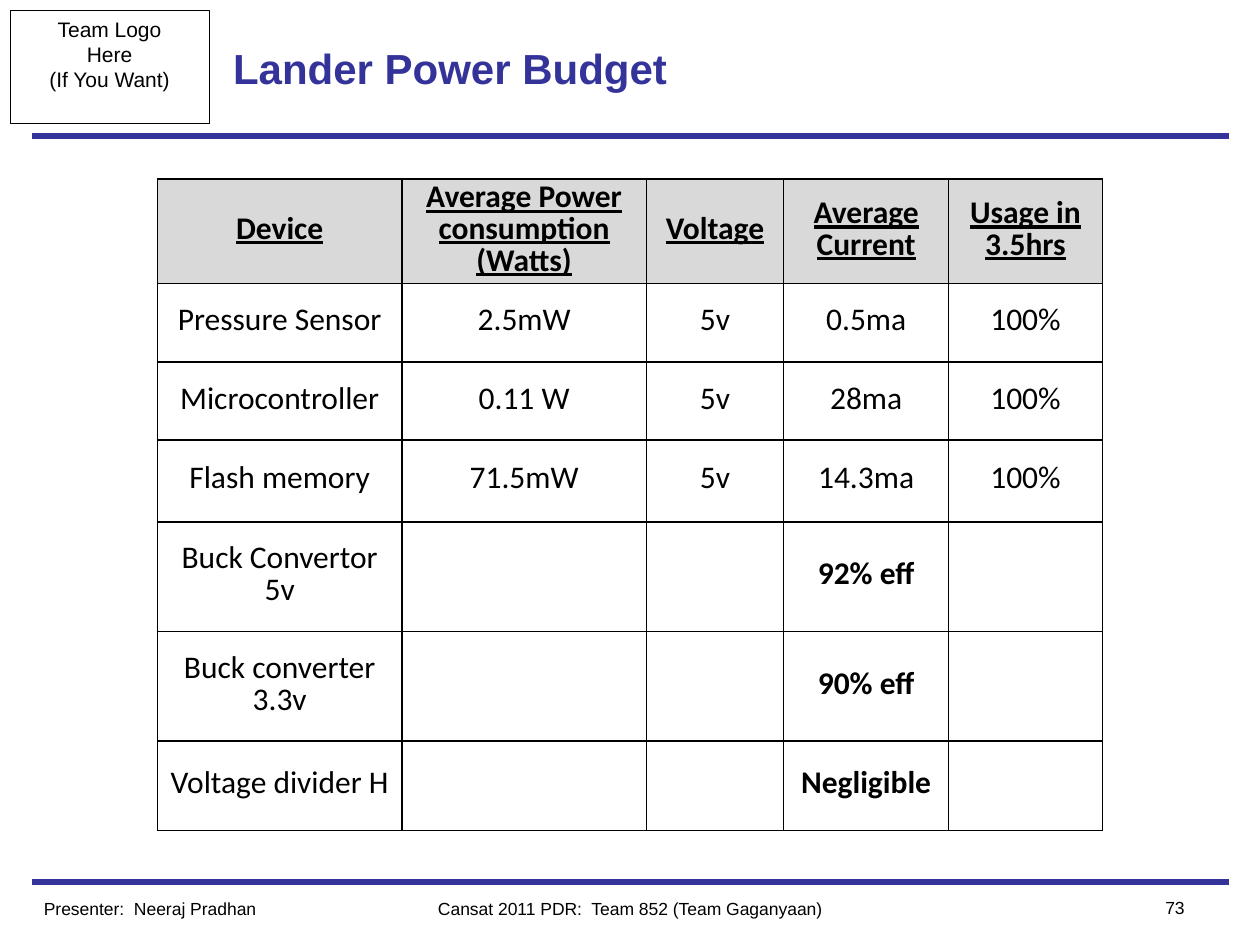
from lxml import etree
from pptx import Presentation
from pptx.dml.color import RGBColor
from pptx.enum.shapes import MSO_CONNECTOR, MSO_SHAPE
from pptx.enum.text import MSO_ANCHOR, PP_ALIGN
from pptx.oxml.ns import qn
from pptx.util import Inches, Pt

LEFT, CENTER, RIGHT = PP_ALIGN.LEFT, PP_ALIGN.CENTER, PP_ALIGN.RIGHT
TOP, MIDDLE = MSO_ANCHOR.TOP, MSO_ANCHOR.MIDDLE
TITLE_ONLY = 5

# Content
COLORS = {"accent": "333399", "text": "000000", "header": "D9D9D9"}
TITLE = "Lander Power Budget"
LOGO_LINES = ["Team Logo", "Here", "(If You Want)"]
HEADER = ["Device", "Average Power consumption (Watts)", "Voltage",
          "Average Current", "Usage in 3.5hrs"]
DEVICES = [
    ["Pressure Sensor", "2.5mW", "5v", "0.5ma", "100%"],
    ["Microcontroller", "0.11 W", "5v", "28ma", "100%"],
    ["Flash memory", "71.5mW", "5v", "14.3ma", "100%"],
    ["Buck Convertor 5v", "", "", "92% eff", ""],
    ["Buck converter 3.3v", "", "", "90% eff", ""],
    ["Voltage divider H", "", "", "Negligible", ""],
]
FOOTERS = [  # text, box, alignment
    ("Cansat 2011 PDR:  Team 852 (Team Gaganyaan)", (3, 7.08, 4, 0.27), CENTER),
    ("73", (8.75, 7.07, 0.75, 0.27), RIGHT),
    ("Presenter:  Neeraj Pradhan", (0.25, 7.08, 2.5, 0.27), LEFT),
]

# Layout in inches
SLIDE_WIDTH, SLIDE_HEIGHT = 10, 7.5
RULE_MARGIN, RULE_TOPS = 0.25, (7, 1.08)
LOGO_BOX = (0.08, 0.08, 1.58, 0.9)
TITLE_BOX = (1.75, 0.08, 6.5, 0.92)
TABLE_LEFT, TABLE_TOP = 1.25, 1.42
COLUMN_WIDTHS = [1.94, 1.94, 1.09, 1.31, 1.22]
ROW_HEIGHTS = [0.82, 0.62, 0.62, 0.65, 0.87, 0.87, 0.71]
CELL_FORMAT = {
    "margin_left": Inches(0.1), "margin_right": Inches(0.1),
    "margin_top": Inches(0.03), "margin_bottom": Inches(0.05),
    "vertical_anchor": MIDDLE,
}


def rgb(name):
    return RGBColor.from_string(COLORS[name])


def box(lengths):
    return [Inches(length) for length in lengths]


def apply(target, values):
    for name, value in values.items():
        setattr(target, name, value)


def write(frame, lines, size, alignment, color="text", anchor=TOP, wrap=True):
    apply(frame, {"text": "\n".join(lines), "word_wrap": wrap, "vertical_anchor": anchor})
    for paragraph in frame.paragraphs:
        paragraph.alignment = alignment
        format_font(paragraph, size, color=color)


def format_font(paragraph, size, name="Arial", color="text", **styles):
    apply(paragraph.font, {"name": name, "size": Pt(size), **styles})
    paragraph.font.color.rgb = rgb(color)


def add_borders(cell):
    properties = cell._tc.get_or_add_tcPr()
    for position, side in enumerate(("lnL", "lnR", "lnT", "lnB")):
        line = etree.Element(qn(f"a:{side}"), w=str(Pt(1)))
        fill = etree.SubElement(line, qn("a:solidFill"))
        etree.SubElement(fill, qn("a:srgbClr"), val=COLORS["text"])
        properties.insert(position, line)


def add_rule(slide, top):
    rule = slide.shapes.add_connector(
        MSO_CONNECTOR.STRAIGHT,
        *box((RULE_MARGIN, top, SLIDE_WIDTH - RULE_MARGIN, top)))
    rule.line.color.rgb = rgb("accent")
    rule.line.width = Pt(3)
    etree.SubElement(rule._element.spPr, qn("a:effectLst"))


def add_logo_box(slide):
    logo = slide.shapes.add_shape(MSO_SHAPE.RECTANGLE, *box(LOGO_BOX))
    logo.shadow.inherit = False
    logo.fill.background()
    logo.line.color.rgb = rgb("text")
    logo.line.width = Pt(0.5)
    write(logo.text_frame, LOGO_LINES, 12, CENTER, wrap=False)


def add_power_table(slide):
    rows = [HEADER] + DEVICES
    table = slide.shapes.add_table(
        len(rows), len(HEADER),
        *box((TABLE_LEFT, TABLE_TOP, sum(COLUMN_WIDTHS), sum(ROW_HEIGHTS)))).table
    apply(table, {"first_row": False, "horz_banding": False})
    for column, width in zip(table.columns, COLUMN_WIDTHS):
        column.width = Inches(width)
    for row, height in zip(table.rows, ROW_HEIGHTS):
        row.height = Inches(height)

    for row_index, texts in enumerate(rows):
        is_header = row_index == 0
        for column_index, text in enumerate(texts):
            cell = table.cell(row_index, column_index)
            apply(cell, CELL_FORMAT)
            if is_header:
                cell.fill.solid()
                cell.fill.fore_color.rgb = rgb("header")
            else:
                cell.fill.background()
            add_borders(cell)
            if text:
                cell.text = text
                paragraph = cell.text_frame.paragraphs[0]
                apply(paragraph, {"alignment": CENTER, "line_spacing": 0.82})
                # Converter and divider notes stand out in bold
                is_note = column_index > 0 and "" in texts
                format_font(paragraph, 18, "Calibri",
                            bold=is_header or is_note, underline=is_header)


def main():
    presentation = Presentation()
    presentation.slide_width = Inches(SLIDE_WIDTH)
    presentation.slide_height = Inches(SLIDE_HEIGHT)
    slide = presentation.slides.add_slide(presentation.slide_layouts[TITLE_ONLY])

    # Frame: rules and logo box
    for top in RULE_TOPS:
        add_rule(slide, top)
    add_logo_box(slide)

    # Title
    title = slide.shapes.title
    apply(title, dict(zip(("left", "top", "width", "height"), box(TITLE_BOX))))
    write(title.text_frame, [TITLE], 24, LEFT, "accent", MIDDLE)
    title.text_frame.paragraphs[0].font.bold = True

    # Table and footers
    add_power_table(slide)
    for text, place, alignment in FOOTERS:
        footer = slide.shapes.add_textbox(*box(place))
        write(footer.text_frame, [text], 10, alignment)

    presentation.save("out.pptx")


if __name__ == "__main__":
    main()
